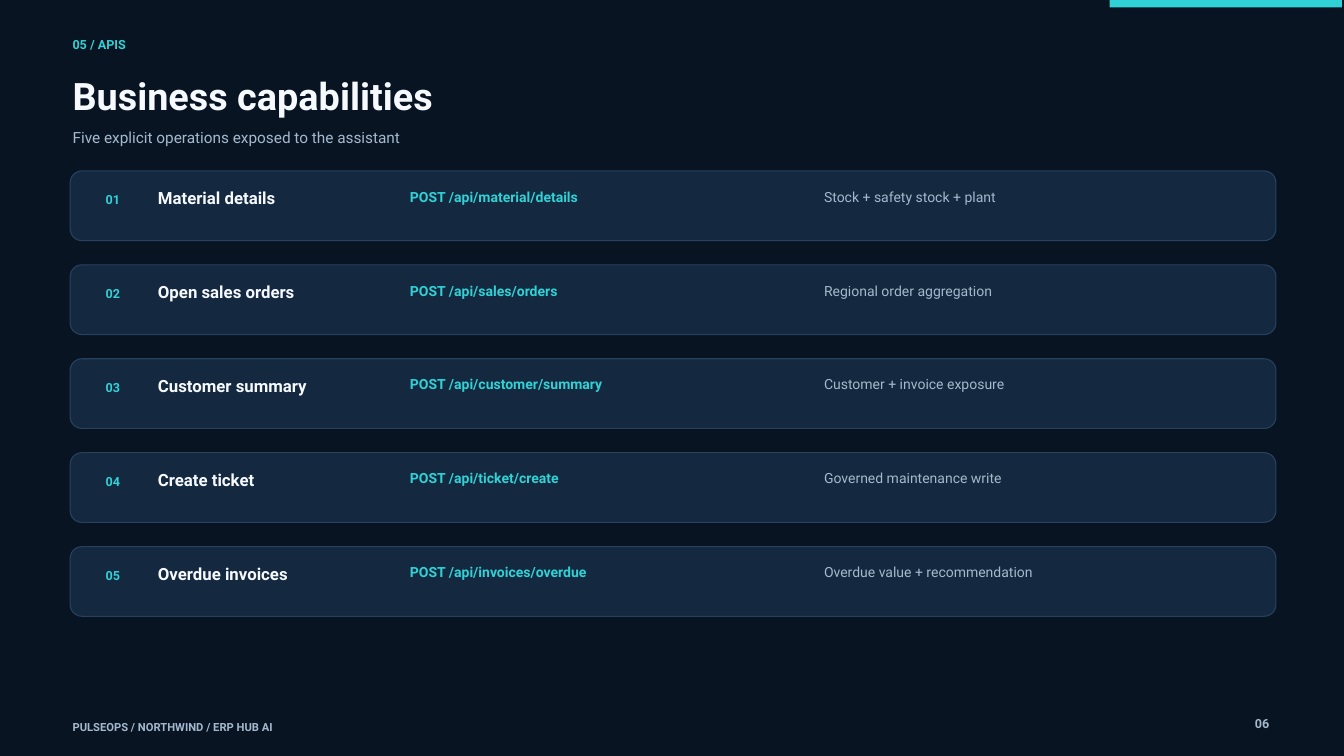
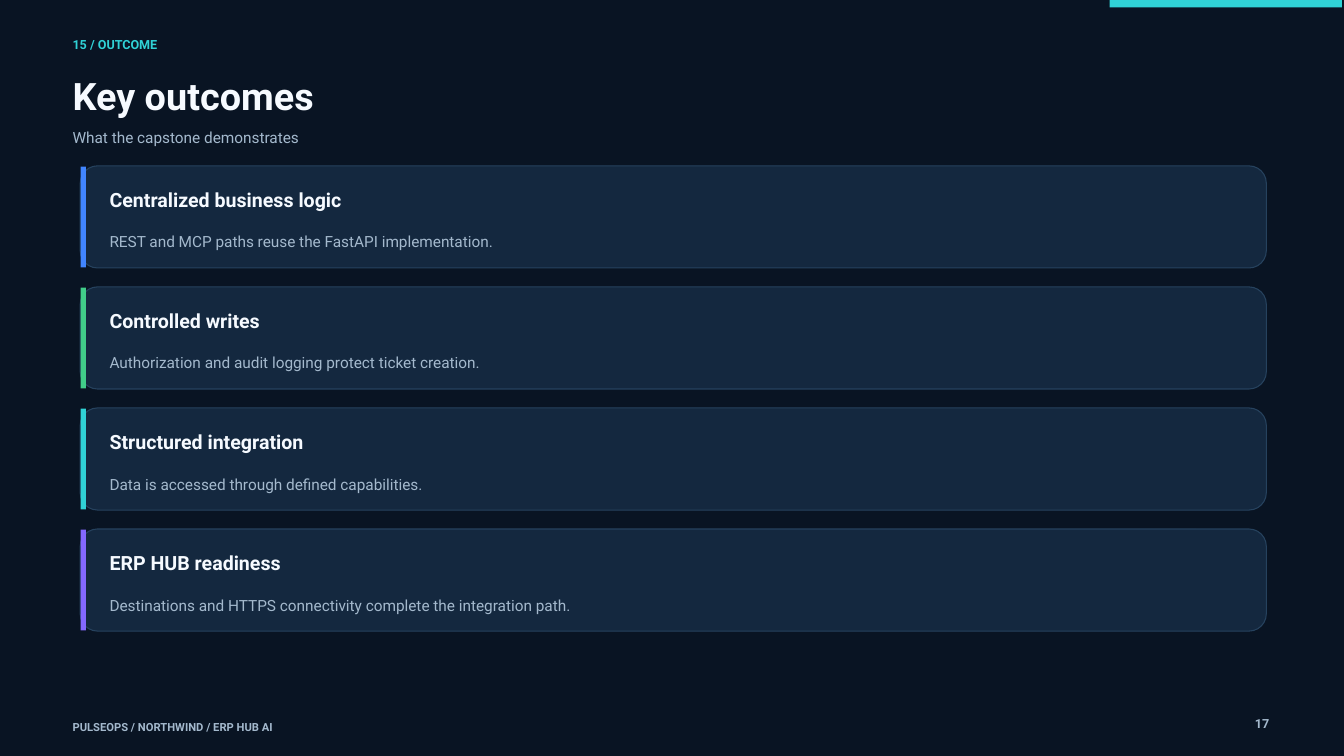
"""Build two dark slides: the business capabilities and the key outcomes."""
from pptx import Presentation
from pptx.dml.color import RGBColor
from pptx.enum.shapes import MSO_SHAPE
from pptx.enum.text import PP_ALIGN
from pptx.util import Inches, Pt

COLUMNS, ROWS = 160, 90
CELL = Inches(20) / COLUMNS
FONT = "Roboto"
COLORS = {
    "background": "091423",
    "panel": "14283F",
    "border": "26425E",
    "white": "F6FAFF",
    "muted": "A4B9CD",
    "cyan": "30D2D6",
    "blue": "4185FF",
    "green": "41CD89",
    "violet": "8468FF",
}
MARGIN = 8.64
FOOTER = " / ".join(["PULSEOPS", "NORTHWIND", "ERP HUB AI"])

CAPABILITIES = [
    ("Material details", "POST /api/material/details", "Stock + safety stock + plant"),
    ("Open sales orders", "POST /api/sales/orders", "Regional order aggregation"),
    ("Customer summary", "POST /api/customer/summary", "Customer + invoice exposure"),
    ("Create ticket", "POST /api/ticket/create", "Governed maintenance write"),
    ("Overdue invoices", "POST /api/invoices/overdue", "Overdue value + recommendation"),
]
OUTCOMES = [
    ("Centralized business logic", "REST and MCP paths reuse the FastAPI implementation.", "blue"),
    ("Controlled writes", "Authorization and audit logging protect ticket creation.", "green"),
    ("Structured integration", "Data is accessed through defined capabilities.", "cyan"),
    ("ERP HUB readiness", "Destinations and HTTPS connectivity complete the integration path.", "violet"),
]


def color(name):
    """Return a palette colour."""
    return RGBColor.from_string(COLORS[name])


def cells(*lengths):
    """Convert grid cells to slide units."""
    return [round(length * CELL) for length in lengths]


def add_text(slide, text, box, size, fill="muted", bold=False, align=PP_ALIGN.LEFT):
    """Add one line of text in a box without margins."""
    frame = slide.shapes.add_textbox(*cells(*box)).text_frame
    frame.word_wrap = True
    frame.margin_left = frame.margin_right = frame.margin_top = frame.margin_bottom = 0
    paragraph = frame.paragraphs[0]
    paragraph.alignment = align
    paragraph.line_spacing = Pt(size * 1.2)
    run = paragraph.add_run()
    run.text = text
    run.font.name = FONT
    run.font.size = Pt(size)
    run.font.bold = bold
    run.font.color.rgb = color(fill)


def add_bar(slide, box, fill):
    """Add a plain rectangle without an outline."""
    shape = slide.shapes.add_shape(MSO_SHAPE.RECTANGLE, *cells(*box))
    shape.shadow.inherit = False
    shape.fill.solid()
    shape.fill.fore_color.rgb = color(fill)
    shape.line.fill.background()


def add_panel(slide, box, radius):
    """Add an outlined panel with rounded corners."""
    shape = slide.shapes.add_shape(MSO_SHAPE.ROUNDED_RECTANGLE, *cells(*box))
    shape.adjustments[0] = radius / box[3]
    shape.shadow.inherit = False
    shape.fill.solid()
    shape.fill.fore_color.rgb = color("panel")
    shape.line.color.rgb = color("border")
    shape.line.width = Pt(1.13)


def add_base_slide(presentation, section, title, subtitle, page):
    """Add a slide with the shared background, heading and footer."""
    slide = presentation.slides.add_slide(presentation.slide_layouts[6])
    slide.background.fill.solid()
    slide.background.fill.fore_color.rgb = color("background")
    add_bar(slide, (132.1, 0, 27.65, 0.88), "cyan")
    add_text(slide, section, (MARGIN, 4.4, 58.5, 2.3), 13.5, "cyan", bold=True)
    add_text(slide, title, (MARGIN, 8.64, 141.3, 5.8), 40.5, "white", bold=True)
    add_text(slide, subtitle, (MARGIN, 15.28, 138.9, 3.4), 16.5)
    add_text(slide, FOOTER, (MARGIN, 85.7, 68, 1.6), 12, bold=True)
    add_text(slide, page, (144.9, 85.2, 6.2, 2.1), 13.5, bold=True, align=PP_ALIGN.RIGHT)
    return slide


def add_capability(slide, index, name, endpoint, result):
    """Add one numbered capability row."""
    top = 20.35 + index * 11.18
    text_top = top + 2.05
    add_panel(slide, (8.35, top, 143.55, 8.3), 1.4)
    add_text(slide, f"{index + 1:02}", (11.84, top + 2.53, 3.2, 1.7), 13.5, "cyan",
             bold=True, align=PP_ALIGN.CENTER)
    add_text(slide, name, (18.8, text_top, 27.2, 2.25), 18, "white", bold=True)
    add_text(slide, endpoint, (48.8, text_top, 45.2, 2.25), 15, "cyan", bold=True)
    add_text(slide, result, (98.1, text_top, 48.2, 2.25), 15)


def add_outcome(slide, index, heading, detail, accent):
    """Add one outcome card with a coloured edge."""
    top = 19.75 + index * 14.41
    add_panel(slide, (9.55, top, 141.2, 12.15), 2.05)
    add_bar(slide, (9.6, top + 0.08, 0.62, 12), accent)
    add_text(slide, heading, (13.04, top + 2.57, 134.7, 2.9), 21, "white", bold=True)
    add_text(slide, detail, (13.04, top + 7.93, 134.7, 2.25), 16.5)


def main():
    """Build and save the presentation."""
    presentation = Presentation()
    presentation.slide_width, presentation.slide_height = cells(COLUMNS, ROWS)

    slide = add_base_slide(presentation, "05 / APIS", "Business capabilities",
                           "Five explicit operations exposed to the assistant", "06")
    for index, capability in enumerate(CAPABILITIES):
        add_capability(slide, index, *capability)

    slide = add_base_slide(presentation, "15 / OUTCOME", "Key outcomes",
                           "What the capstone demonstrates", "17")
    for index, outcome in enumerate(OUTCOMES):
        add_outcome(slide, index, *outcome)

    presentation.save("out.pptx")


if __name__ == "__main__":
    main()
